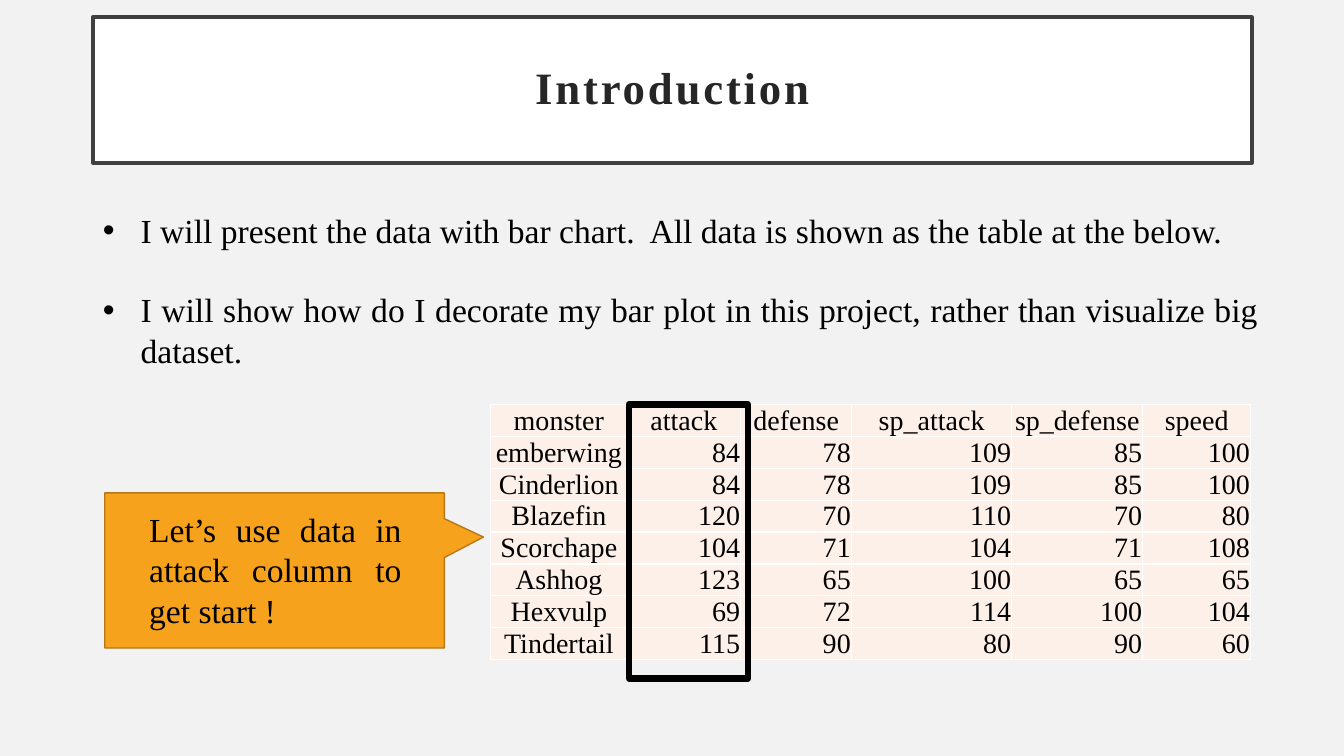
"""Build the introduction slide with its statistics table and callout."""
import pptx
import pptx.dml.color
import pptx.enum.shapes
import pptx.enum.text
import pptx.oxml
import pptx.oxml.ns
import pptx.util
from pptx.util import Cm

RGBColor = pptx.dml.color.RGBColor
PP_ALIGN = pptx.enum.text.PP_ALIGN
MSO_ANCHOR = pptx.enum.text.MSO_ANCHOR
MSO_SHAPE = pptx.enum.shapes.MSO_SHAPE

FONT = "Times New Roman"
BACKGROUND = RGBColor(0xF2, 0xF2, 0xF2)
WHITE = RGBColor(0xFF, 0xFF, 0xFF)
BLACK = RGBColor(0x00, 0x00, 0x00)
TITLE_TEXT = RGBColor(0x26, 0x26, 0x26)
TITLE_FRAME = RGBColor(0x40, 0x40, 0x40)
CELL_FILL = RGBColor(0xFD, 0xF0, 0xE8)
CALLOUT_FILL = RGBColor(0xF6, 0xA2, 0x1D)
CALLOUT_LINE = RGBColor(0xB6, 0x78, 0x15)

POINTS = [
    "I will present the data with bar chart.  All data is shown as the table at the below.",
    "I will show how do I decorate my bar plot in this project, rather than visualize big dataset.",
]
STATS = [
    ("monster", "attack", "defense", "sp_attack", "sp_defense", "speed"),
    ("emberwing", 84, 78, 109, 85, 100),
    ("Cinderlion", 84, 78, 109, 85, 100),
    ("Blazefin", 120, 70, 110, 70, 80),
    ("Scorchape", 104, 71, 104, 71, 108),
    ("Ashhog", 123, 65, 100, 65, 65),
    ("Hexvulp", 69, 72, 114, 100, 104),
    ("Tindertail", 115, 90, 80, 90, 60),
]
COLUMN_WIDTHS = [3.43, 2.87, 2.79, 4.04, 3.3, 2.72]
ROW_HEIGHT = 0.69


def place(shape, left, top, width, height):
    shape.left, shape.top = Cm(left), Cm(top)
    shape.width, shape.height = Cm(width), Cm(height)


def format_paragraph(paragraph, size, align, color=BLACK):
    paragraph.alignment = align
    paragraph.font.name = FONT
    paragraph.font.size = pptx.util.Pt(size)
    paragraph.font.color.rgb = color


def add_element(parent, xml, index=None):
    element = pptx.oxml.parse_xml(xml.replace(
        ">", " " + pptx.oxml.ns.nsdecls("a") + ">", 1))
    parent.insert(len(parent) if index is None else index, element)


def set_line(shape, color, width):
    shape.line.color.rgb = color
    shape.line.width = pptx.util.Pt(width)


def fill_title(title, text):
    place(title, 2.34, 0.43, 29.21, 3.68)
    title.fill.solid()
    title.fill.fore_color.rgb = WHITE
    set_line(title, TITLE_FRAME, 2.5)
    frame = title.text_frame
    frame.text = text
    frame.vertical_anchor = MSO_ANCHOR.MIDDLE
    frame.margin_left = frame.margin_right = Cm(0.5)
    frame.margin_top = frame.margin_bottom = Cm(0.5)
    heading = frame.paragraphs[0]
    heading.line_spacing = 0.9
    format_paragraph(heading, 32, PP_ALIGN.CENTER, TITLE_TEXT)
    heading.font.bold = True
    heading.runs[0].font._element.set("spc", "200")


def fill_points(body, points):
    place(body, 2.34, 5.16, 29.62, 4.37)
    frame = body.text_frame
    frame.text = "\n".join(points)
    frame.auto_size = pptx.enum.text.MSO_AUTO_SIZE.NONE
    for number, point in enumerate(frame.paragraphs):
        point.line_spacing = 1.0
        point.space_before = pptx.util.Pt(28 if number else 0)
        properties = point._p.get_or_add_pPr()
        properties.set("marL", str(Cm(0.95)))
        properties.set("indent", str(-Cm(0.95)))
        add_element(properties, '<a:buFont typeface="Arial"></a:buFont>')
        add_element(properties, '<a:buChar char="•"></a:buChar>')
        format_paragraph(point, 24, PP_ALIGN.JUSTIFY)


def format_cell(cell, value, align):
    cell.text = str(value)
    cell.fill.solid()
    cell.fill.fore_color.rgb = CELL_FILL
    cell.vertical_anchor = MSO_ANCHOR.BOTTOM
    cell.margin_left = cell.margin_right = cell.margin_top = Cm(0.02)
    cell.margin_bottom = 0
    format_paragraph(cell.text_frame.paragraphs[0], 20, align)
    for index, side in enumerate("LRTB"):
        add_element(
            cell._tc.get_or_add_tcPr(),
            f'<a:ln{side} w="12700"><a:solidFill><a:srgbClr val="{WHITE}"/>'
            f'</a:solidFill></a:ln{side}>', index)


def add_stats_table(slide, stats):
    table = slide.shapes.add_table(
        len(stats), len(COLUMN_WIDTHS), Cm(12.37), Cm(10.19),
        Cm(sum(COLUMN_WIDTHS)), Cm(ROW_HEIGHT * len(stats))).table
    table.first_row = table.horz_banding = False
    for column, width in zip(table.columns, COLUMN_WIDTHS):
        column.width = Cm(width)
    for row_number, values in enumerate(stats):
        table.rows[row_number].height = Cm(ROW_HEIGHT)
        for column_number, value in enumerate(values):
            align = PP_ALIGN.RIGHT if isinstance(value, int) else PP_ALIGN.CENTER
            format_cell(table.cell(row_number, column_number), value, align)


def add_outlined_shape(slide, kind, bounds, line_color, line_width, fill=None):
    shape = slide.shapes.add_shape(kind, *map(Cm, bounds))
    shape.shadow.inherit = False
    set_line(shape, line_color, line_width)
    if fill is None:
        shape.fill.background()
    else:
        shape.fill.solid()
        shape.fill.fore_color.rgb = fill
    return shape


def add_callout(slide, text):
    callout = add_outlined_shape(
        slide, MSO_SHAPE.RECTANGULAR_CALLOUT, (2.64, 12.42, 8.56, 3.91),
        CALLOUT_LINE, 1, CALLOUT_FILL)
    callout.adjustments[0] = 0.615
    callout.adjustments[1] = -0.215
    message = slide.shapes.add_textbox(Cm(3.51), Cm(12.7), Cm(6.86), Cm(3.33))
    message.text_frame.word_wrap = True
    message.text_frame.text = text
    format_paragraph(message.text_frame.paragraphs[0], 24, PP_ALIGN.JUSTIFY)


def main():
    presentation = pptx.Presentation()
    presentation.slide_width = Cm(33.87)
    presentation.slide_height = Cm(19.05)
    slide = presentation.slides.add_slide(presentation.slide_layouts[1])
    slide.background.fill.solid()
    slide.background.fill.fore_color.rgb = BACKGROUND
    fill_title(slide.shapes.title, "Introduction")
    fill_points(slide.placeholders[1], POINTS)
    add_stats_table(slide, STATS)
    add_outlined_shape(
        slide, MSO_SHAPE.RECTANGLE, (15.85, 10.19, 3, 6.91), BLACK, 4.5)
    add_callout(slide, "Let’s use data in attack column to get start !")
    presentation.save("out.pptx")


if __name__ == "__main__":
    main()
